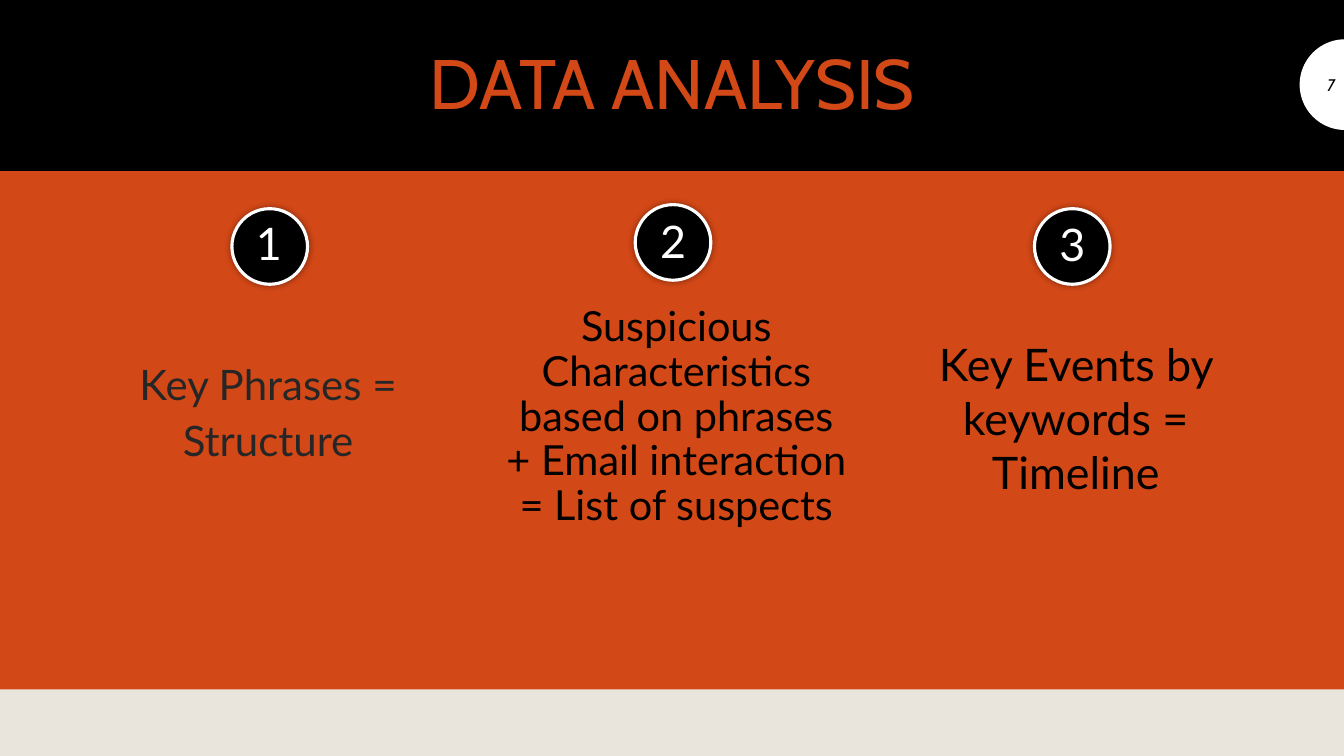
from math import cos, pi, sin

from lxml.etree import SubElement
from pptx import Presentation
from pptx.dml.color import RGBColor
from pptx.enum.shapes import MSO_SHAPE as Preset
from pptx.enum.text import MSO_ANCHOR as Anchor, PP_ALIGN as Align
from pptx.oxml.ns import qn
from pptx.util import Inches, Pt

BLACK = RGBColor(0x00, 0x00, 0x00)
WHITE = RGBColor(0xFF, 0xFF, 0xFF)
ORANGE = RGBColor(0xD3, 0x48, 0x17)
CHARCOAL = RGBColor(0x26, 0x26, 0x26)
CREAM = RGBColor(0xE9, 0xE5, 0xDC)

TITLE = "DATA ANALYSIS"
PAGE = "7"
STEPS = [
    dict(number="1", badge=(2.3, 2.07), digit=(2.44, 2.09), at=(0.83, 3.14),
         text="Key Phrases = Structure",
         size=30, color=CHARCOAL, spacing=1.12, lift=0.68),
    dict(number="2", badge=(6.3, 2.03), digit=(6.45, 2.07), at=(4.88, 3.11),
         text="Suspicious Characteristics based on phrases + Email interaction = List of suspects",
         size=29.6, color=BLACK, spacing=0.9, lift=0.44),
    dict(number="3", badge=(10.26, 2.07), digit=(10.41, 2.1), at=(8.84, 3.14),
         text="Key Events by keywords = Timeline",
         size=32, color=BLACK, spacing=1.0, lift=0.5),
]
BADGE = 0.75
DIGIT_BOX = (0.36, 0.64)
STEP_BOX = (3.66, 2.51)
TAB_CENTER = (13.34, 0.84)
TAB_RADIUS = 0.45
TAB_STEPS = 48

deck = Presentation()
deck.slide_width, deck.slide_height = Inches(13.33), Inches(7.5)
slide = deck.slides.add_slide(deck.slide_layouts[6])
slide.background.fill.solid()
slide.background.fill.fore_color.rgb = CREAM


def paint(shape, fill, line=None, width=1):
    shape.shadow.inherit = False
    shape.fill.solid()
    shape.fill.fore_color.rgb = fill
    if line is None:
        shape.line.fill.background()
    else:
        shape.line.color.rgb = line
        shape.line.width = Pt(width)
    return shape


def add_preset(preset, at, fill, line=None, width=1):
    shape = slide.shapes.add_shape(preset, *map(Inches, at))
    return paint(shape, fill, line, width)


def add_glow(shape):
    effects = shape._element.spPr.find(qn("a:effectLst"))
    shadow = SubElement(effects, qn("a:outerShdw"), blurRad=str(Pt(5)), dist="0", dir="0")
    color = SubElement(shadow, qn("a:srgbClr"), val=str(BLACK))
    SubElement(color, qn("a:alpha"), val="40000")


def add_text(text, at, font, size, color, align=Align.CENTER, anchor=Anchor.MIDDLE,
             spacing=1.0, lift=0, italic=False):
    box = slide.shapes.add_textbox(*map(Inches, at))
    frame = box.text_frame
    paragraph = frame.paragraphs[0]
    run = paragraph.add_run()
    run.text = text
    run.font.color.rgb = color
    formats = [
        (frame, dict(word_wrap=True, vertical_anchor=anchor,
                     margin_bottom=Inches(0.05 + lift))),
        (paragraph, dict(alignment=align, line_spacing=spacing)),
        (run.font, dict(name=font, size=Pt(size), italic=italic)),
    ]
    for target, values in formats:
        for key, value in values.items():
            setattr(target, key, value)


add_preset(Preset.RECTANGLE, (0, 1.68, 13.33, 5.16), ORANGE)
add_preset(Preset.RECTANGLE, (0, 0, 13.33, 1.69), BLACK, BLACK)

angles = [pi / 2 + pi * i / TAB_STEPS for i in range(TAB_STEPS + 1)]
arc = [(Inches(TAB_CENTER[0] + TAB_RADIUS * cos(a)),
        Inches(TAB_CENTER[1] + TAB_RADIUS * sin(a))) for a in angles]
page_tab = slide.shapes.build_freeform(*arc[0])
page_tab.add_line_segments(arc[1:], close=True)
paint(page_tab.convert_to_shape(), WHITE)

add_text(TITLE, (0.83, 0.31, 11.68, 1.1), "Cabin", 50, ORANGE, spacing=0.9)
add_text(PAGE, (12.89, 0.64, 0.45, 0.4), "Cabin", 12, BLACK, Align.RIGHT, italic=True)

for step in STEPS:
    add_glow(add_preset(Preset.OVAL, (*step["badge"], BADGE, BADGE), BLACK, WHITE, 2.25))
    add_text(step["number"], (*step["digit"], *DIGIT_BOX), "Lato", 32, WHITE,
             Align.LEFT, Anchor.TOP)
    add_text(step["text"], (*step["at"], *STEP_BOX), "Lato", step["size"], step["color"],
             spacing=step["spacing"], lift=step["lift"])

deck.save("out.pptx")
